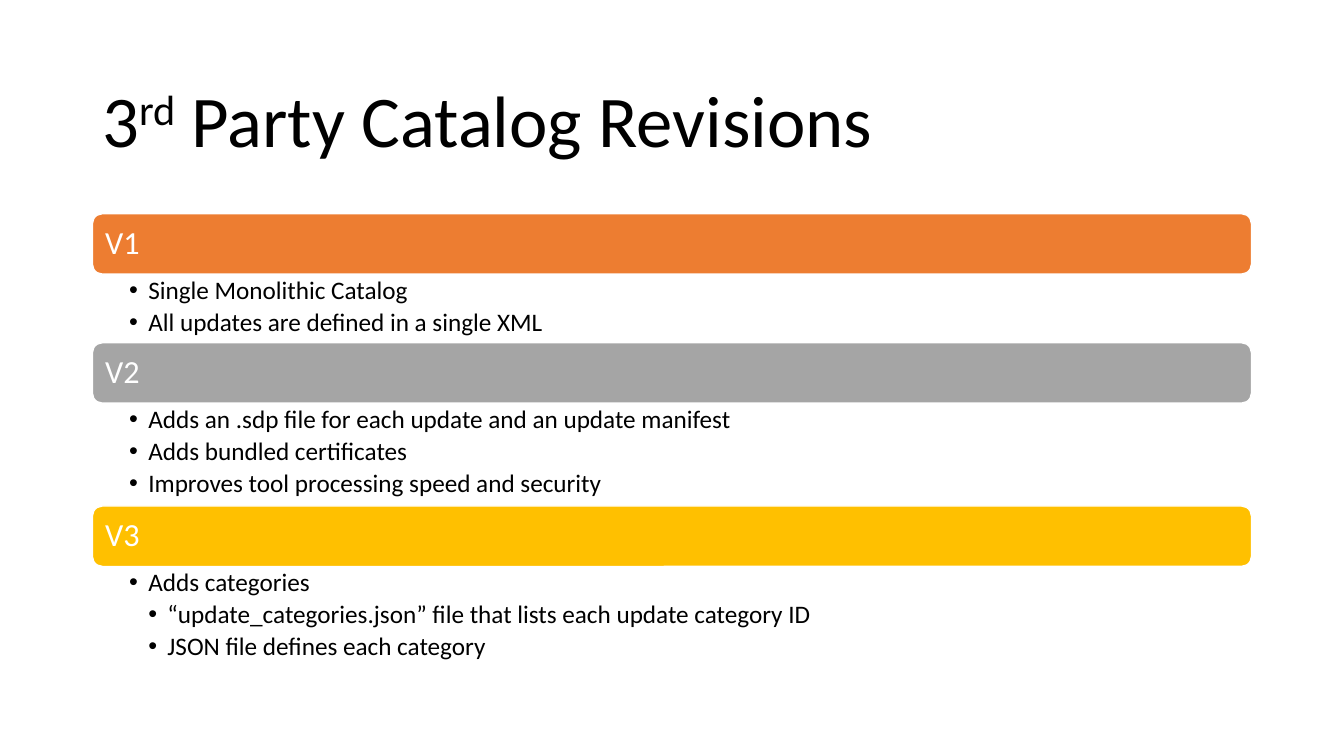
from lxml import etree
from pptx import Presentation
from pptx.dml.color import RGBColor
from pptx.enum.shapes import MSO_SHAPE
from pptx.enum.text import MSO_ANCHOR, PP_ALIGN
from pptx.oxml.ns import qn
from pptx.util import Pt

TITLE = [("3", 0), ("rd", 30), (" Party Catalog Revisions", 0)]
VERSIONS = [
    ("V1", "ED7D31", [
        (1, "Single Monolithic Catalog"),
        (1, "All updates are defined in a single XML"),
    ]),
    ("V2", "A5A5A5", [
        (1, "Adds an .sdp file for each update and an update manifest"),
        (1, "Adds bundled certificates"),
        (1, "Improves tool processing speed and security"),
    ]),
    ("V3", "FFC000", [
        (1, "Adds categories"),
        (2, "“update_categories.json” file that lists each update category ID"),
        (2, "JSON file defines each category"),
    ]),
]
LEFT, WIDTH = 66, 828
TOP, BAND_H, LINE_H = 152.64, 43.2, 24.48
INDENT = 13.68


def color(value):
    return RGBColor.from_string(value)


def set_text(sp, paragraphs, size, ink="000000", anchor=MSO_ANCHOR.TOP,
             insets=(7.2, 3.6, 7.2, 3.6), after=0):
    tf = sp.text_frame
    tf.word_wrap = True
    tf.vertical_anchor = anchor
    tf.margin_left, tf.margin_top, tf.margin_right, tf.margin_bottom = map(Pt, insets)
    for i, (level, runs) in enumerate(paragraphs):
        p = tf.add_paragraph() if i else tf.paragraphs[0]
        p.alignment = PP_ALIGN.LEFT
        p.line_spacing = 0.9
        p.space_after = Pt(after)
        p.level = level
        if level:
            pPr = p._p.get_or_add_pPr()
            pPr.set("marL", str(Pt(INDENT * level)))
            pPr.set("indent", str(-Pt(INDENT)))
            etree.SubElement(pPr, qn("a:buFont")).set("typeface", "Arial")
            etree.SubElement(pPr, qn("a:buChar")).set("char", "•")
        for text, raised in runs:
            r = p.add_run()
            r.text = text
            r.font.name = "Calibri"
            r.font.size = Pt(size)
            r.font.color.rgb = color(ink)
            if raised:
                r._r.get_or_add_rPr().set("baseline", str(raised * 1000))


prs = Presentation()
prs.slide_width, prs.slide_height = Pt(960), Pt(540)
s = prs.slides.add_slide(prs.slide_layouts[6])

title = s.shapes.add_textbox(Pt(LEFT), Pt(43.92), Pt(WIDTH), Pt(89.28))
set_text(title, [(0, TITLE)], 52, anchor=MSO_ANCHOR.MIDDLE)

y = TOP
for name, fill, points in VERSIONS:
    band = s.shapes.add_shape(MSO_SHAPE.ROUNDED_RECTANGLE,
                              Pt(LEFT), Pt(y), Pt(WIDTH), Pt(BAND_H))
    band.shadow.inherit = False
    band.fill.solid()
    band.fill.fore_color.rgb = color(fill)
    band.line.color.rgb = color("FFFFFF")
    band.line.width = Pt(1)
    set_text(band, [(0, [(name, 0)])], 23, "FFFFFF", MSO_ANCHOR.MIDDLE)
    y += BAND_H

    body_h = LINE_H * len(points)
    body = s.shapes.add_textbox(Pt(LEFT), Pt(y), Pt(WIDTH), Pt(body_h))
    set_text(body, [(level, [(text, 0)]) for level, text in points], 18,
             insets=(26.3, 2.2, 13, 2.2), after=3.6)
    y += body_h

prs.save("out.pptx")
